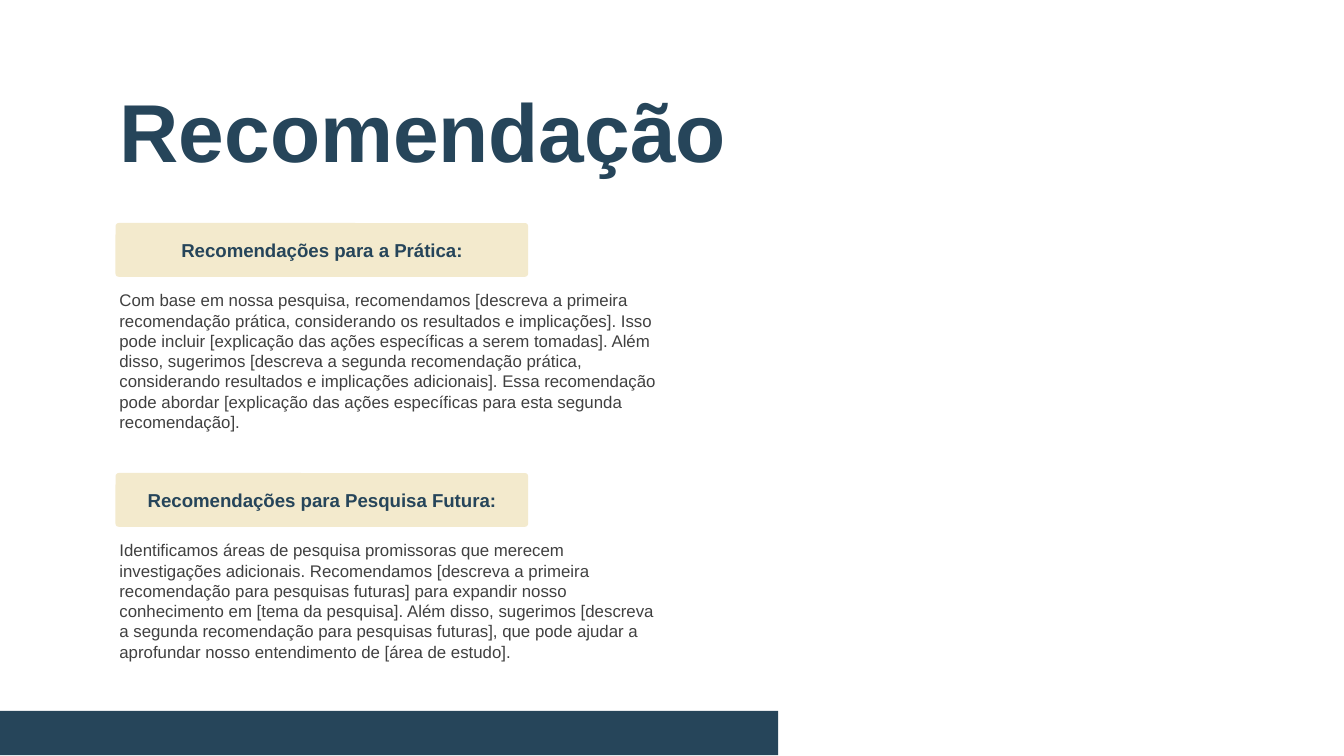
"""Build the recommendations slide."""
import dataclasses

import pptx
import pptx.dml.color
import pptx.enum.shapes
import pptx.enum.text
import pptx.util
from pptx.util import Inches


@dataclasses.dataclass(frozen=True)
class Theme:
    font: str = "Arial"
    navy: str = "26455A"
    sand: str = "F3EACD"
    grey: str = "404040"
    white: str = "FFFFFF"
    title: int = 44
    label: int = 10
    body: int = 9


THEME = Theme()
SHAPES = pptx.enum.shapes.MSO_SHAPE
ANCHOR = pptx.enum.text.MSO_ANCHOR
ALIGN = pptx.enum.text.PP_ALIGN

SECTIONS = [
    (
        "Recomendações para a Prática:",
        "Com base em nossa pesquisa, recomendamos [descreva a primeira "
        "recomendação prática, considerando os resultados e implicações]. "
        "Isso pode incluir [explicação das ações específicas a serem "
        "tomadas]. Além disso, sugerimos [descreva a segunda recomendação "
        "prática, considerando resultados e implicações adicionais]. Essa "
        "recomendação pode abordar [explicação das ações específicas para "
        "esta segunda recomendação].",
        1.16,
    ),
    (
        "Recomendações para Pesquisa Futura:",
        "Identificamos áreas de pesquisa promissoras que merecem "
        "investigações adicionais. Recomendamos [descreva a primeira "
        "recomendação para pesquisas futuras] para expandir nosso "
        "conhecimento em [tema da pesquisa]. Além disso, sugerimos "
        "[descreva a segunda recomendação para pesquisas futuras], que pode "
        "ajudar a aprofundar nosso entendimento de [área de estudo].",
        1.01,
    ),
]


def rgb(color):
    return pptx.dml.color.RGBColor.from_string(color)


def add_run(tf, text, size, color, bold=False):
    p = tf.paragraphs[0]
    r = p.add_run()
    r.text = text
    r.font.name = THEME.font
    r.font.size = pptx.util.Pt(size)
    r.font.bold = bold
    r.font.color.rgb = rgb(color)
    return p


def add_text(s, x, y, w, h):
    sp = s.shapes.add_textbox(Inches(x), Inches(y), Inches(w), Inches(h))
    tf = sp.text_frame
    tf.word_wrap = True
    return tf


def add_block(s, kind, x, y, w, h, color):
    sp = s.shapes.add_shape(kind, Inches(x), Inches(y), Inches(w), Inches(h))
    sp.shadow.inherit = False
    sp.fill.solid()
    sp.fill.fore_color.rgb = rgb(color)
    sp.line.fill.background()
    return sp


def add_title(s, text):
    tf = add_text(s, 0.79, 0.69, 5.01, 0.73)
    tf.vertical_anchor = ANCHOR.MIDDLE
    tf.margin_top = tf.margin_bottom = Inches(0.1)
    p = add_run(tf, text, THEME.title, THEME.navy, bold=True)
    p.line_spacing = 0.7


def add_label(s, y, text):
    sp = add_block(s, SHAPES.ROUNDED_RECTANGLE, 0.86, y, 3.07, 0.4, THEME.sand)
    sp.adjustments[0] = 0.06
    tf = sp.text_frame
    tf.word_wrap = True
    tf.vertical_anchor = ANCHOR.MIDDLE
    p = add_run(tf, text, THEME.label, THEME.navy, bold=True)
    p.alignment = ALIGN.CENTER


def add_section(s, y, label, body, height):
    tf = add_text(s, 0.79, y + 0.45, 4.21, height)
    add_run(tf, body, THEME.body, THEME.grey)
    add_label(s, y, label)


def main():
    prs = pptx.Presentation()
    prs.slide_width = Inches(10)
    prs.slide_height = Inches(10) * 9 // 16
    s = prs.slides.add_slide(prs.slide_layouts[6])
    s.background.fill.solid()
    s.background.fill.fore_color.rgb = rgb(THEME.white)
    add_title(s, "Recomendação")
    add_block(s, SHAPES.RECTANGLE, 0, 5.29, 5.79, 0.33, THEME.navy)
    for i, (label, body, height) in enumerate(SECTIONS):
        add_section(s, 1.66 + 1.86 * i, label, body, height)
    prs.save("out.pptx")


if __name__ == "__main__":
    main()
